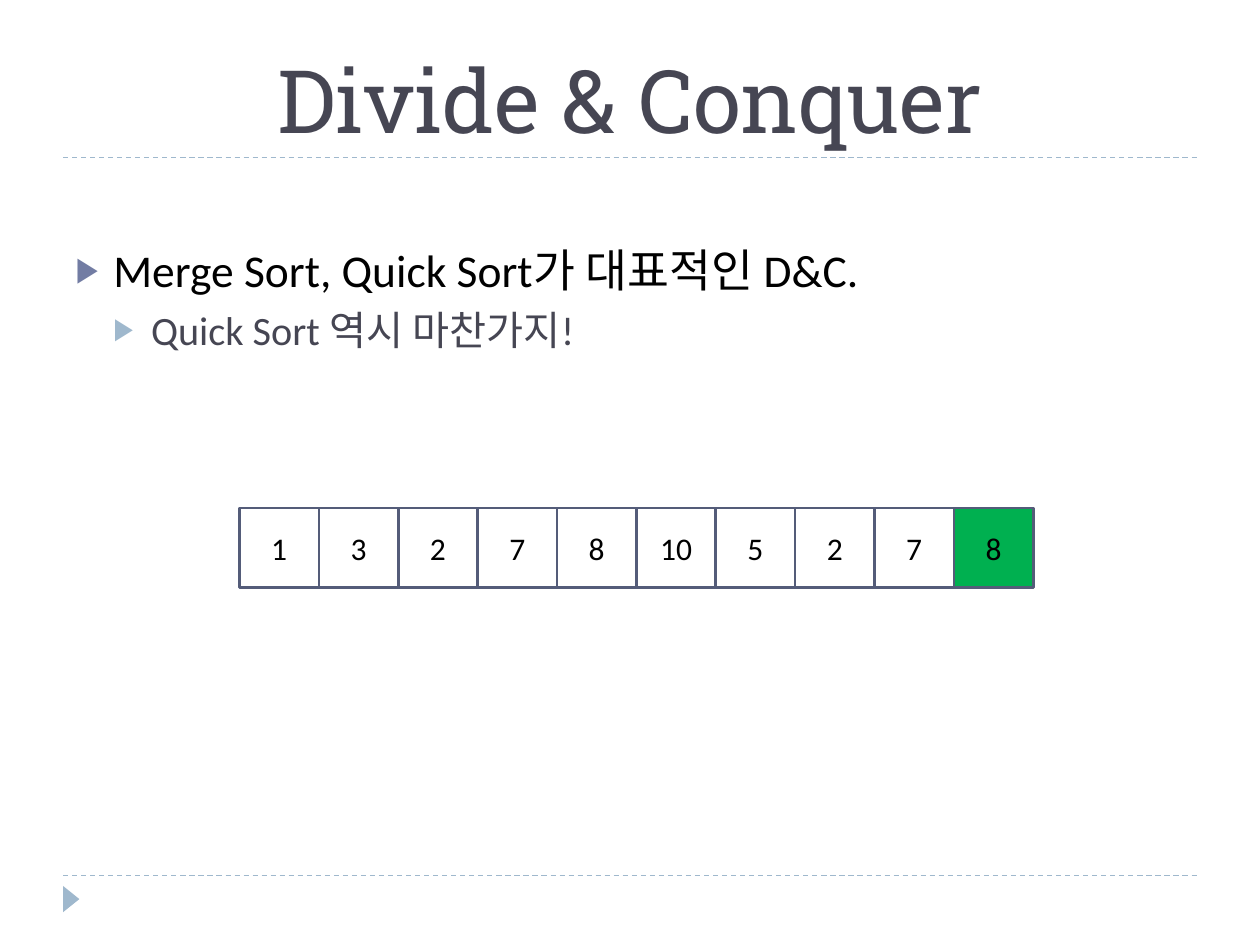
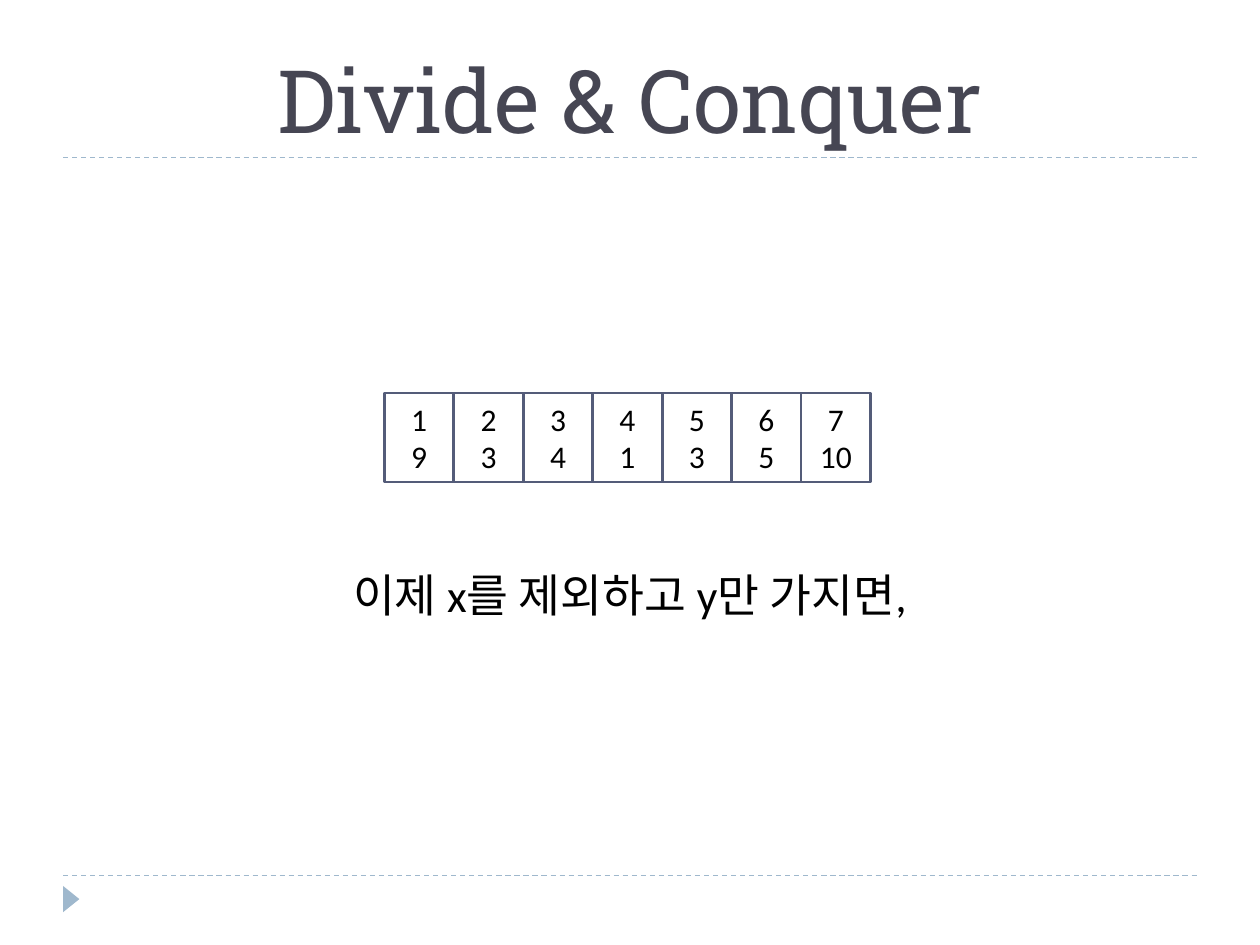
from lxml import etree
from pptx import Presentation, util as u
from pptx.dml.color import RGBColor
from pptx.enum import dml, shapes, text
from pptx.oxml.ns import qn

COLORS = {
    "title": "464653", "text": "000000", "bullet": "727CA3",
    "accent": "9FB8CD", "border": "545C79", "pivot": "00B050",
}
BODY_FONT, TITLE_FONT = "Calibri", "Roboto Slab"

# Content: body lines are (level, text); level None is a centred line without bullet.
# Each array cell lists its lines of text; lengths are in centimetres.
SLIDES = [
    {
        "title": "Divide & Conquer",
        "body": [(0, "Merge Sort, Quick Sort가 대표적인 D&C."),
                 (1, "Quick Sort 역시 마찬가지!")],
        "body_top": 4.75,
        "array": [[n] for n in (1, 3, 2, 7, 8, 10, 5, 2, 7, 8)],
        "array_at": (4.83, 10.24),
        "cell_size": (1.6, 1.6),
        "pivot": 9,
    },
    {
        "title": "Divide & Conquer",
        "body": [(None, "이제 x를 제외하고 y만 가지면,")],
        "body_top": 11.3,
        "array": list(enumerate((9, 3, 4, 1, 3, 5, 10), start=1)),
        "array_at": (7.75, 7.92),
        "cell_size": (1.4, 1.8),
        "pivot": None,
    },
]

# Per level: size, text colour, bullet colour, space before
LEVELS = {
    None: (26, "text", None, 6),
    0: (26, "text", "bullet", 6),
    1: (23, "title", "accent", 5),
}
MARGIN, CONTENT_WIDTH, BODY_BOTTOM = 1.27, 22.86, 17.1
INDENT = 0.76


def rgb(name):
    return RGBColor.from_string(COLORS[name])


def set_font(paragraph, face, size, color):
    paragraph.font.name = face
    paragraph.font.size = u.Pt(size)
    paragraph.font.color.rgb = rgb(color)


def place(shape, left, top, width, height):
    shape.left, shape.top = u.Cm(left), u.Cm(top)
    shape.width, shape.height = u.Cm(width), u.Cm(height)


def set_bullet(paragraph, level, color):
    """Give the paragraph a triangle bullet, or none when color is None."""
    props = paragraph._p.get_or_add_pPr()
    if color is None:
        props.set("marL", "0")
        props.set("indent", "0")
        etree.SubElement(props, qn("a:buNone"))
        return
    props.set("marL", str(u.Cm(INDENT * (level + 1))))
    props.set("indent", str(-u.Cm(INDENT)))
    bullet_color = etree.SubElement(props, qn("a:buClr"))
    etree.SubElement(bullet_color, qn("a:srgbClr"), val=COLORS[color])
    etree.SubElement(props, qn("a:buSzPct"), val="76000")
    etree.SubElement(props, qn("a:buFont"), typeface="Arial")
    etree.SubElement(props, qn("a:buChar"), char="▶")


def decorate_layout(layout, slide):
    """Draw the rules and the footer marker, then hand them to the layout."""
    decorations = []
    for rule_y in (17.65, 3.18):
        rule = slide.shapes.add_connector(
            shapes.MSO_CONNECTOR.STRAIGHT, u.Cm(MARGIN), u.Cm(rule_y),
            u.Cm(MARGIN + CONTENT_WIDTH), u.Cm(rule_y))
        rule.line.color.rgb = rgb("accent")
        rule.line.width = u.Pt(0.75)
        rule.line.dash_style = dml.MSO_LINE.DASH
        etree.SubElement(rule.element.spPr, qn("a:effectLst"))
        decorations.append(rule)
    marker = slide.shapes.add_shape(
        shapes.MSO_SHAPE.ISOSCELES_TRIANGLE,
        u.Cm(1.17), u.Cm(17.96), u.Cm(0.53), u.Cm(0.33))
    marker.rotation = 90
    marker.shadow.inherit = False
    marker.fill.solid()
    marker.fill.fore_color.rgb = rgb("accent")
    marker.line.fill.background()
    decorations.append(marker)
    for decoration in decorations:
        layout.shapes.element.append(decoration.element)


def write_title(title, wording):
    place(title, MARGIN, 0.43, CONTENT_WIDTH, 2.74)
    frame = title.text_frame
    frame.text = wording
    frame.auto_size = text.MSO_AUTO_SIZE.NONE
    frame.vertical_anchor = text.MSO_ANCHOR.BOTTOM
    heading = frame.paragraphs[0]
    heading.alignment = text.PP_ALIGN.CENTER
    set_font(heading, TITLE_FONT, 50, "title")


def write_body(body, lines, top):
    place(body, MARGIN, top, CONTENT_WIDTH, BODY_BOTTOM - top)
    frame = body.text_frame
    frame.text = "\n".join(wording for _, wording in lines)
    frame.auto_size = text.MSO_AUTO_SIZE.NONE
    for i, (paragraph, (level, _)) in enumerate(zip(frame.paragraphs, lines)):
        size, color, bullet, space = LEVELS[level]
        paragraph.level = level or 0
        set_bullet(paragraph, level, bullet)
        paragraph.space_before = u.Pt(space if i else 0)
        if level is None:
            paragraph.alignment = text.PP_ALIGN.CENTER
        set_font(paragraph, BODY_FONT, size, color)


def draw_array(slide, values, origin, cell_size, pivot):
    left, top = origin
    width, height = cell_size
    for i, lines in enumerate(values):
        cell = slide.shapes.add_shape(
            shapes.MSO_SHAPE.RECTANGLE, u.Cm(left + i * width), u.Cm(top),
            u.Cm(width), u.Cm(height))
        cell.shadow.inherit = False
        if i == pivot:
            cell.fill.solid()
            cell.fill.fore_color.rgb = rgb("pivot")
        else:
            cell.fill.background()
        cell.line.color.rgb = rgb("border")
        cell.line.width = u.Pt(1.5)
        cell.text_frame.text = "\n".join(map(str, lines))
        cell.text_frame.vertical_anchor = text.MSO_ANCHOR.MIDDLE
        for paragraph in cell.text_frame.paragraphs:
            paragraph.alignment = text.PP_ALIGN.CENTER
            set_font(paragraph, BODY_FONT, 18, "text")


def main():
    deck = Presentation()
    deck.slide_width, deck.slide_height = u.Cm(25.4), u.Cm(19.05)
    layout = deck.slide_layouts[1]
    for i, content in enumerate(SLIDES):
        slide = deck.slides.add_slide(layout)
        if i == 0:
            decorate_layout(layout, slide)
        write_title(slide.shapes.title, content["title"])
        write_body(slide.placeholders[1], content["body"], content["body_top"])
        draw_array(slide, content["array"], content["array_at"],
                   content["cell_size"], content["pivot"])
    deck.save("out.pptx")


if __name__ == "__main__":
    main()
